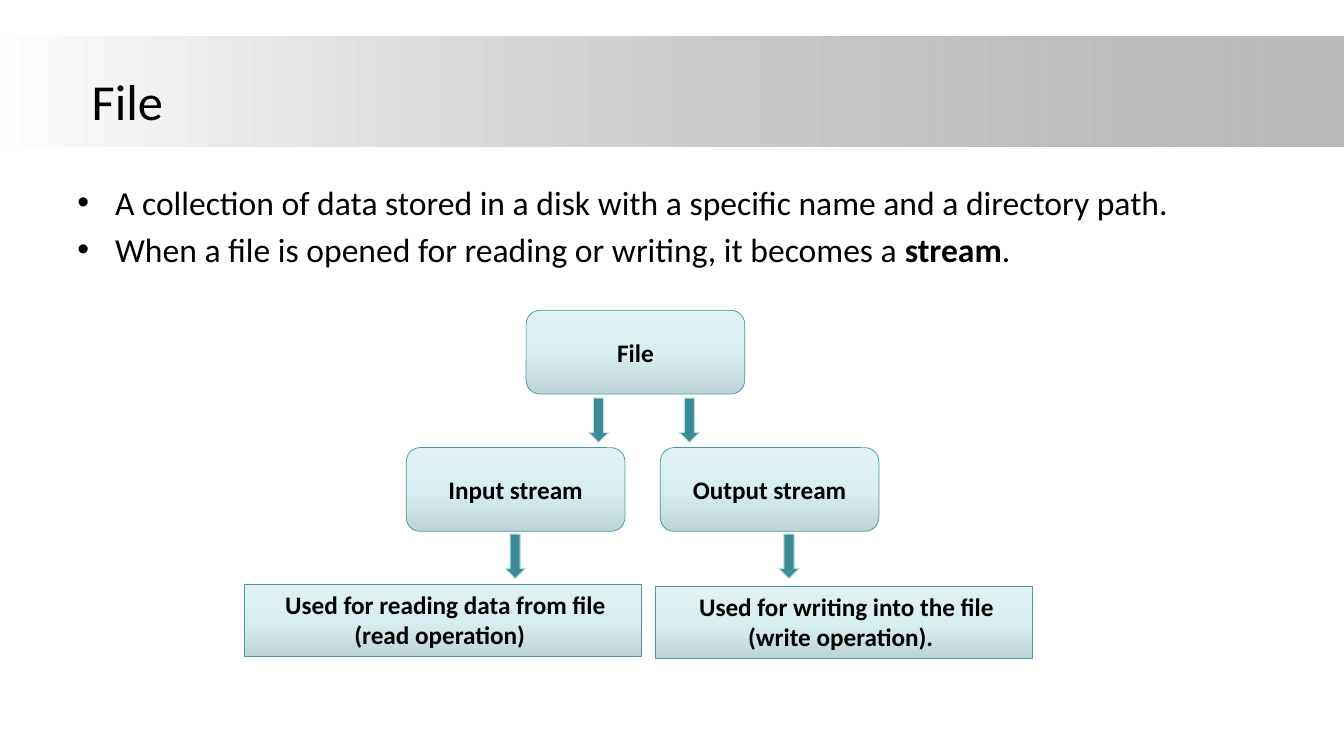
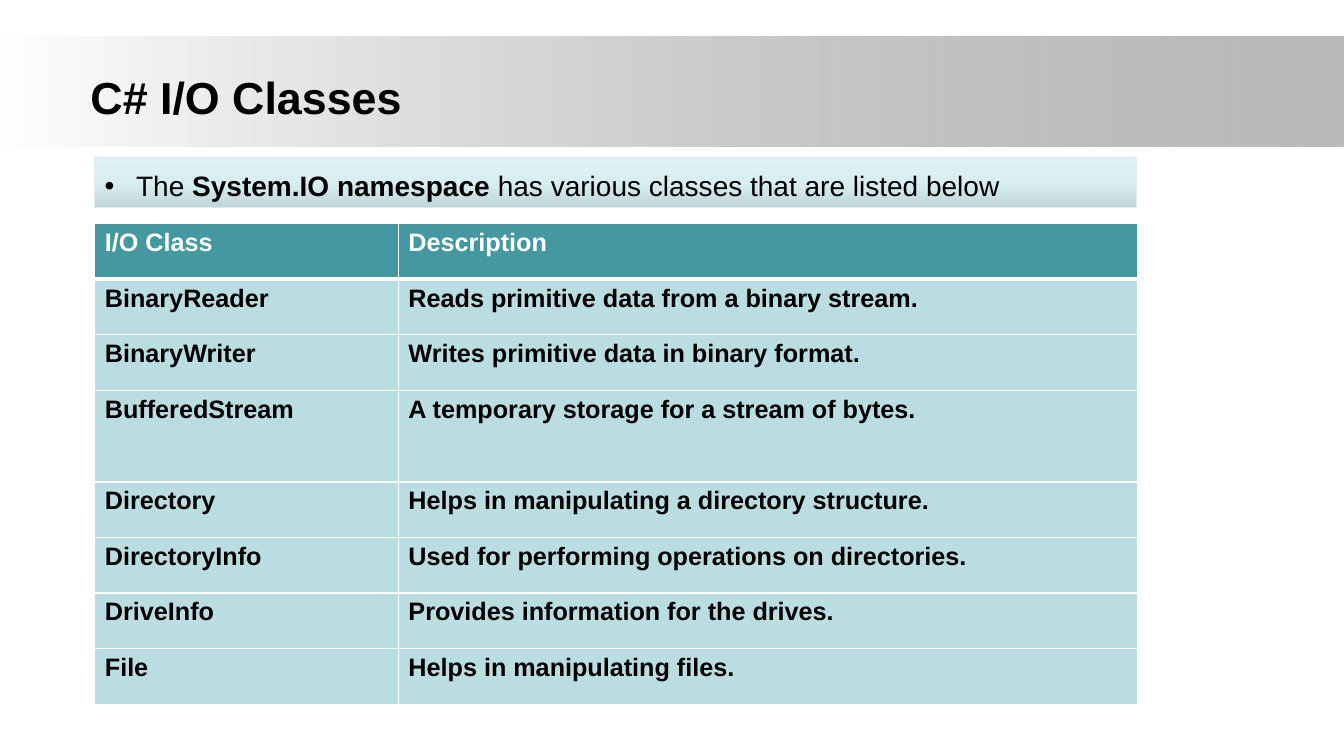
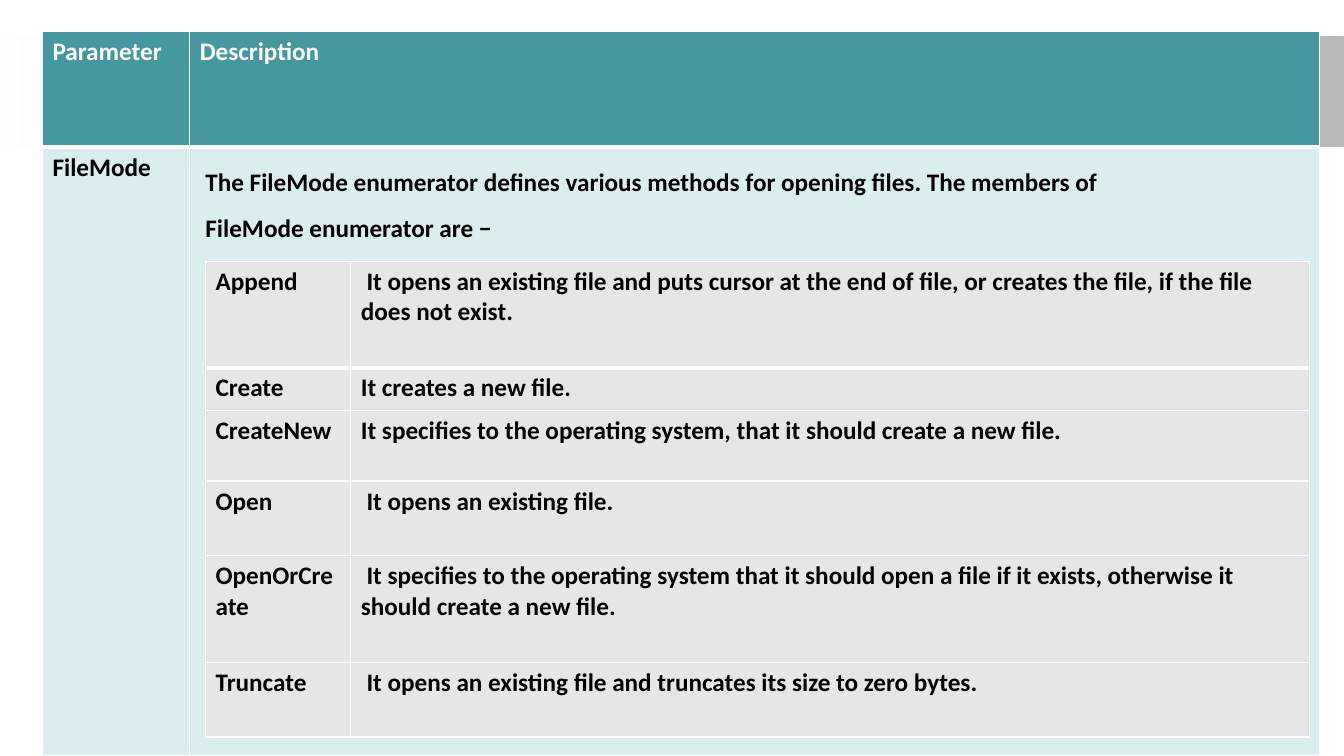
from pptx import Presentation
from pptx.dml.color import RGBColor
from pptx.enum.shapes import MSO_SHAPE
from pptx.enum.text import MSO_ANCHOR, MSO_AUTO_SIZE, PP_ALIGN
from pptx.oxml import parse_xml
from pptx.oxml.ns import nsdecls
from pptx.util import Cm, Pt

BLACK = RGBColor(0x00, 0x00, 0x00)
WHITE = RGBColor(0xFF, 0xFF, 0xFF)
GRAY = RGBColor(0x80, 0x80, 0x80)
SILVER = RGBColor(0xE6, 0xE6, 0xE6)
TEAL = RGBColor(0x45, 0x97, 0xA0)
DEEP = RGBColor(0x3C, 0x8C, 0x93)
MIST = RGBColor(0xBB, 0xE0, 0xE3)
AQUA = RGBColor(0xBA, 0xDD, 0xE1)
PALE = RGBColor(0xDA, 0xED, 0xEF)
ICE = RGBColor(0xE2, 0xF1, 0xF3)
FROST = RGBColor(0xD9, 0xEE, 0xF0)
STEEL = RGBColor(0xBF, 0xD5, 0xD7)
SHEEN = ((0, ICE, 100), (50, FROST, 100), (100, STEEL, 100))
FADE = ((0, WHITE, 100), (100, GRAY, 54))


def write(frame, text, font="Calibri", size=18, color=BLACK, bold=False,
          align=PP_ALIGN.LEFT, space=None, before=None, indent=0):
    for i, line in enumerate(text.split("\n")):
        para = frame.paragraphs[0] if i == 0 else frame.add_paragraph()
        para.alignment = align
        para.line_spacing = space
        para.space_before = before
        if indent:
            props = para._p.get_or_add_pPr()
            props.set("marL", str(Cm(indent)))
            props.set("indent", str(-Cm(indent)))
            props.append(parse_xml(f'<a:buFont {nsdecls("a")} typeface="Arial"/>'))
            props.append(parse_xml(f'<a:buChar {nsdecls("a")} char="•"/>'))
        for j, part in enumerate(line.split("*")):
            run = para.add_run()
            run.text = part
            run.font.name = font
            run.font.size = Pt(size)
            run.font.color.rgb = color
            run.font.bold = bold or j % 2 == 1


class Deck:
    """Hold the shared style and the slide being filled."""

    def __init__(self):
        self.show = Presentation()
        self.show.slide_width = Cm(33.87)
        self.show.slide_height = Cm(19.05)
        self.slide = None

    def page(self):
        self.slide = self.show.slides.add_slide(self.show.slide_layouts[6])
        self.shape(MSO_SHAPE.RECTANGLE, 0, 0.91, 33.87, 2.79, FADE, angle=0)

    def shape(self, kind, left, top, width, height, fill, angle=90,
              edge=None, weight=0.5):
        item = self.slide.shapes.add_shape(
            kind, Cm(left), Cm(top), Cm(width), Cm(height))
        if isinstance(fill, RGBColor):
            item.fill.solid()
            item.fill.fore_color.rgb = fill
        else:
            stops = "".join(
                f'<a:gs pos="{at * 1000}"><a:srgbClr val="{hue}">'
                f'<a:alpha val="{alpha * 1000}"/></a:srgbClr></a:gs>'
                for at, hue, alpha in fill)
            item.element.spPr.append(parse_xml(
                f'<a:gradFill {nsdecls("a")} rotWithShape="1">'
                f'<a:gsLst>{stops}</a:gsLst>'
                f'<a:lin ang="{angle * 60000}" scaled="0"/></a:gradFill>'))
        if edge is None:
            item.line.fill.background()
        else:
            item.line.color.rgb = edge
            item.line.width = Pt(weight)
        item.shadow.inherit = False
        return item

    def text(self, left, top, width, height, text, wrap=True, grow=True, **style):
        box = self.slide.shapes.add_textbox(
            Cm(left), Cm(top), Cm(width), Cm(height))
        frame = box.text_frame
        frame.word_wrap = wrap
        if grow:
            frame.auto_size = MSO_AUTO_SIZE.SHAPE_TO_FIT_TEXT
        write(frame, text, **style)

    def node(self, left, top, text):
        item = self.shape(MSO_SHAPE.ROUNDED_RECTANGLE, left, top, 5.51, 2.11,
                          SHEEN, edge=TEAL)
        item.text_frame.word_wrap = False
        item.text_frame.vertical_anchor = MSO_ANCHOR.MIDDLE
        write(item.text_frame, text, bold=True, align=PP_ALIGN.CENTER)

    def panel(self, left, top, width, height, text, edge=TEAL, **style):
        item = self.shape(MSO_SHAPE.RECTANGLE, left, top, width, height,
                          SHEEN, edge=edge)
        frame = item.text_frame
        frame.word_wrap = True
        frame.vertical_anchor = MSO_ANCHOR.TOP
        frame.auto_size = MSO_AUTO_SIZE.SHAPE_TO_FIT_TEXT
        write(frame, text, **style)

    def arrow(self, left, top):
        self.shape(MSO_SHAPE.DOWN_ARROW, left, top, 0.51, 1.12, DEEP,
                   edge=MIST, weight=0.75)

    def table(self, left, top, cols, highs, rows, fill, head=TEAL, ink=WHITE,
              font="Calibri"):
        grid = self.slide.shapes.add_table(
            len(rows), len(cols), Cm(left), Cm(top),
            Cm(sum(cols)), Cm(sum(highs))).table
        grid.first_row = False
        grid.horz_banding = False
        for col, width in zip(grid.columns, cols):
            col.width = Cm(width)
        for i, (row, high) in enumerate(zip(grid.rows, highs)):
            row.height = Cm(high)
            for cell, text in zip(row.cells, rows[i]):
                self.border(cell, 3 if i == 0 else 1)
                cell.fill.solid()
                cell.fill.fore_color.rgb = fill if i else head
                write(cell.text_frame, text, font=font, bold=True,
                      color=BLACK if i else ink,
                      space=1.5 if "\n" in text else None)

    def border(self, cell, base):
        props = cell._tc.get_or_add_tcPr()
        for side, weight in (("L", 1), ("R", 1), ("T", 1), ("B", base)):
            props.append(parse_xml(
                f'<a:ln{side} {nsdecls("a")} w="{Pt(weight)}"><a:solidFill>'
                f'<a:srgbClr val="{WHITE}"/></a:solidFill></a:ln{side}>'))


def streams(deck):
    deck.page()
    deck.text(1.7, 4.45, 30.48, 12.57,
              "A collection of data stored in a disk with a specific name "
              "and a directory path.\n"
              "When a file is opened for reading or writing, "
              "it becomes a *stream*.",
              grow=False, size=24, before=Pt(4.8), indent=0.95)
    deck.text(2.06, 1.65, 3.76, 1.8, "File", size=36)
    for left, top, name in ((13.26, 7.82, "File"),
                            (16.64, 11.28, "Output stream"),
                            (10.24, 11.28, "Input stream")):
        deck.node(left, top, name)
    for left, top in ((14.83, 10.03), (17.12, 10.03),
                      (12.73, 13.46), (19.63, 13.46)):
        deck.arrow(left, top)
    for left, top, width, use in (
            (6.15, 14.73, 10.01,
             " Used for reading data from file (read operation) "),
            (16.51, 14.78, 9.5,
             " Used for writing into the file (write operation). ")):
        deck.panel(left, top, width, 1.8, use, bold=True,
                   align=PP_ALIGN.CENTER)


def classes(deck):
    deck.page()
    deck.panel(2.39, 3.96, 26.24, 1.27,
               "The *System.IO namespace* has various classes "
               "that are listed below",
               edge=PALE, font="Arial", size=20, space=1.2, indent=0.79)
    deck.text(2.03, 1.63, 8.36, 1.63, "C# I/O Classes", wrap=False,
              font="Arial", size=32, bold=True)
    rows = (
        ("I/O Class", "Description"),
        ("BinaryReader", "Reads primitive data from a binary stream."),
        ("BinaryWriter", "Writes primitive data in binary format."),
        ("BufferedStream", "A temporary storage for a stream of bytes."),
        ("Directory", "Helps in manipulating a directory structure."),
        ("DirectoryInfo", "Used for performing operations on directories."),
        ("DriveInfo", "Provides information for the drives."),
        ("File", "Helps in manipulating files."),
    )
    highs = [1.4] * 3 + [2.31] + [1.4] * 4
    deck.table(2.39, 5.64, (7.65, 18.62), highs, rows, AQUA, font="Arial")


def modes(deck):
    deck.page()
    rows = (
        ("Parameter", "Description"),
        ("FileMode",
         " The FileMode enumerator defines various methods for opening files. "
         "The members of\n FileMode enumerator are −"),
    )
    deck.table(1.07, 0.79, (3.71, 28.47), (2.92, 15.32), rows, PALE)
    rows = (
        ("Append", " It opens an existing file and puts cursor at the end of "
                   "file, or creates the file, if the file does not exist."),
        ("Create", "It creates a new file."),
        ("CreateNew", "It specifies to the operating system, "
                      "that it should create a new file."),
        ("Open", " It opens an existing file."),
        ("OpenOrCreate", " It specifies to the operating system that it should "
                         "open a file if it exists, otherwise it should "
                         "create a new file."),
        ("Truncate", " It opens an existing file and truncates "
                     "its size to zero bytes."),
    )
    deck.table(5.18, 6.58, (3.66, 24.16), (2.69, 1.07, 1.78, 1.88, 2.69, 1.88),
               rows, SILVER, head=SILVER, ink=BLACK)


def main():
    deck = Deck()
    for build in (streams, classes, modes):
        build(deck)
    deck.show.save("out.pptx")


if __name__ == "__main__":
    main()
